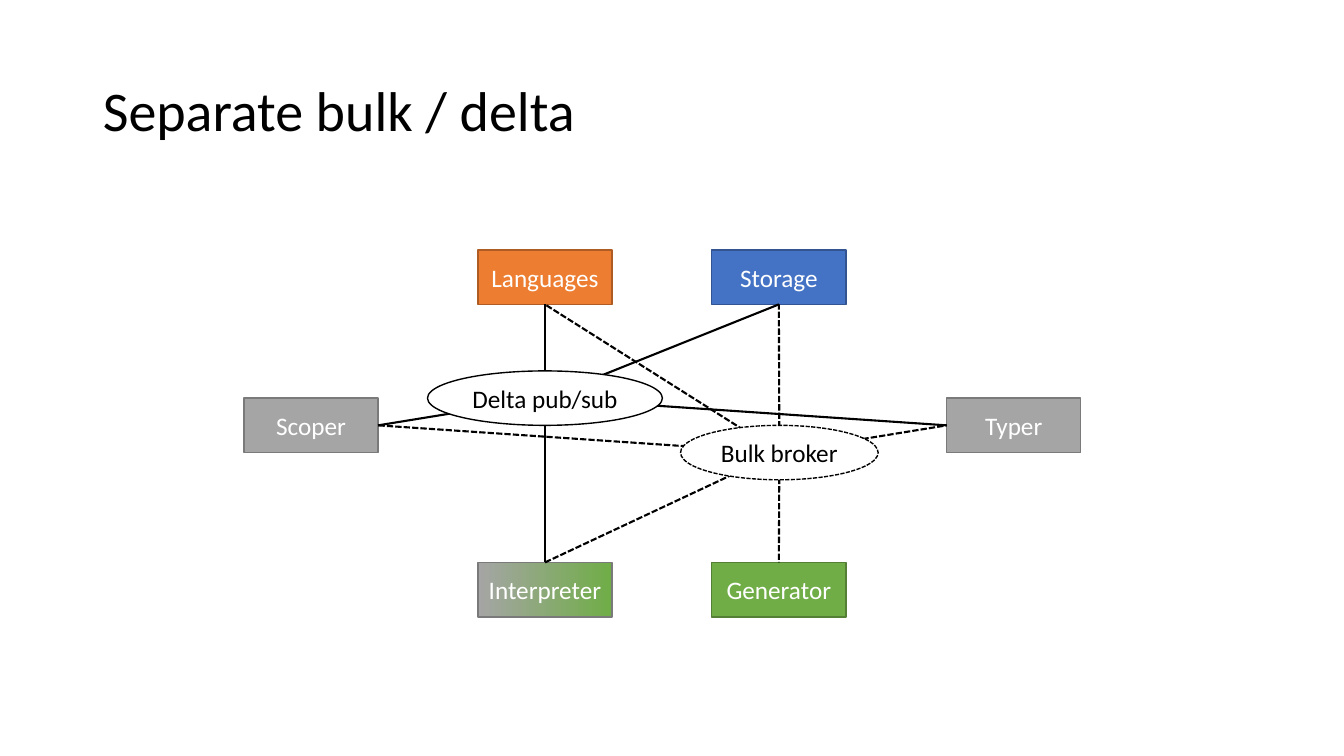
from dataclasses import dataclass

from lxml import etree
from pptx import Presentation
from pptx.dml.color import RGBColor
from pptx.enum.dml import MSO_LINE
from pptx.enum.shapes import MSO_CONNECTOR, MSO_SHAPE
from pptx.enum.text import MSO_ANCHOR, PP_ALIGN
from pptx.oxml.ns import qn
from pptx.util import Inches, Pt

RECT, OVAL = MSO_SHAPE.RECTANGLE, MSO_SHAPE.OVAL
STRAIGHT = MSO_CONNECTOR.STRAIGHT
DASH = MSO_LINE.SQUARE_DOT
LEFT, CENTER = PP_ALIGN.LEFT, PP_ALIGN.CENTER
MIDDLE = MSO_ANCHOR.MIDDLE
TOP_SITE, LEFT_SITE, BOTTOM_SITE, RIGHT_SITE = range(4)


@dataclass(frozen=True)
class Theme:
    font: str = "Calibri"
    title_size: int = 40
    label_size: int = 18
    outline: float = 1
    link: float = 1.5
    black: str = "000000"
    white: str = "FFFFFF"
    blue: str = "4472C4"
    blue_edge: str = "325491"
    orange: str = "ED7D31"
    orange_edge: str = "AF5C24"
    gray: str = "A5A5A5"
    gray_edge: str = "7A7A7A"
    green: str = "70AD47"
    green_edge: str = "538035"


T = Theme()
BOX_W, NODE_H = 1.33, 0.54


@dataclass(frozen=True)
class Service:
    label: str
    left: float
    top: float
    fills: tuple[str, ...]
    edge: str
    site: int


@dataclass(frozen=True)
class Hub:
    label: str
    left: float
    top: float
    width: float
    dashed: bool
    clients: tuple[str, ...]


# Columns and rows of the diagram
COL_1, COL_2, COL_3, COL_4 = 2.42, 4.74, 7.06, 9.39
ROW_TOP, ROW_MID, ROW_BOTTOM = 2.48, 3.95, 5.58

SERVICES = (
    Service("Storage", COL_3, ROW_TOP, (T.blue,), T.blue_edge, BOTTOM_SITE),
    Service("Languages", COL_2, ROW_TOP, (T.orange,), T.orange_edge, BOTTOM_SITE),
    Service("Typer", COL_4, ROW_MID, (T.gray,), T.gray_edge, LEFT_SITE),
    Service("Generator", COL_3, ROW_BOTTOM, (T.green,), T.green_edge, TOP_SITE),
    Service("Scoper", COL_1, ROW_MID, (T.gray,), T.gray_edge, RIGHT_SITE),
    Service("Interpreter", COL_2, ROW_BOTTOM, (T.gray, T.green), T.gray_edge, TOP_SITE),
)
HUBS = (
    Hub("Delta pub/sub", 4.24, 3.68, 2.33, False,
        ("Scoper", "Storage", "Typer", "Languages", "Interpreter")),
    Hub("Bulk broker", 6.75, 4.22, 1.96, True,
        ("Generator", "Interpreter", "Typer", "Storage", "Languages", "Scoper")),
)


def rgb(color: str) -> RGBColor:
    return RGBColor.from_string(color)


def write(tf, text: str, size: int, color: str, align) -> None:
    tf.vertical_anchor = MIDDLE
    p = tf.paragraphs[0]
    p.alignment = align
    r = p.add_run()
    r.text = text
    r.font.name, r.font.size = T.font, Pt(size)
    r.font.color.rgb = rgb(color)


def style_line(line, color: str, width: float, dashed: bool) -> None:
    line.color.rgb = rgb(color)
    line.width = Pt(width)
    if dashed:
        line.dash_style = DASH


def add_node(slide, kind, left: float, top: float, width: float, label: str,
             fills: tuple[str, ...], edge: str, text_color: str, dashed: bool = False):
    sp = slide.shapes.add_shape(kind, Inches(left), Inches(top), Inches(width), Inches(NODE_H))
    sp.shadow.inherit = False
    if len(fills) == 1:
        sp.fill.solid()
        sp.fill.fore_color.rgb = rgb(fills[0])
    else:
        sp.fill.gradient()
        sp.fill.gradient_angle = 0
        for stop, color in zip(sp.fill.gradient_stops, fills):
            stop.color.rgb = rgb(color)
    style_line(sp.line, edge, T.outline, dashed)
    sp.text_frame.word_wrap = False
    write(sp.text_frame, label, T.label_size, text_color, CENTER)
    return sp


def add_link(slide, hub: Hub, box, site: int) -> None:
    x, y = Inches(hub.left + hub.width / 2), Inches(hub.top + NODE_H / 2)
    cx = slide.shapes.add_connector(STRAIGHT, x, y, x, y)
    cx.end_connect(box, site)
    style_line(cx.line, T.black, T.link, hub.dashed)
    etree.SubElement(cx._element.spPr, qn("a:effectLst"))


def main() -> None:
    prs = Presentation()
    prs.slide_width, prs.slide_height = Inches(13.33), Inches(7.5)
    s = prs.slides.add_slide(prs.slide_layouts[5])

    # Title
    title = s.shapes.title
    title.left, title.top = Inches(0.92), Inches(0.4)
    title.width, title.height = Inches(11.5), Inches(1.45)
    write(title.text_frame, "Separate bulk / delta", T.title_size, T.black, LEFT)
    title.text_frame.paragraphs[0].line_spacing = 0.9

    # Services
    boxes = {v.label: add_node(s, RECT, v.left, v.top, BOX_W, v.label, v.fills, v.edge, T.white)
             for v in SERVICES}
    sites = {v.label: v.site for v in SERVICES}

    # Links run from hub centres, so the hubs go on top of them
    for hub in HUBS:
        for client in hub.clients:
            add_link(s, hub, boxes[client], sites[client])
    for hub in HUBS:
        add_node(s, OVAL, hub.left, hub.top, hub.width, hub.label,
                 (T.white,), T.black, T.black, hub.dashed)

    prs.save("out.pptx")


if __name__ == "__main__":
    main()
